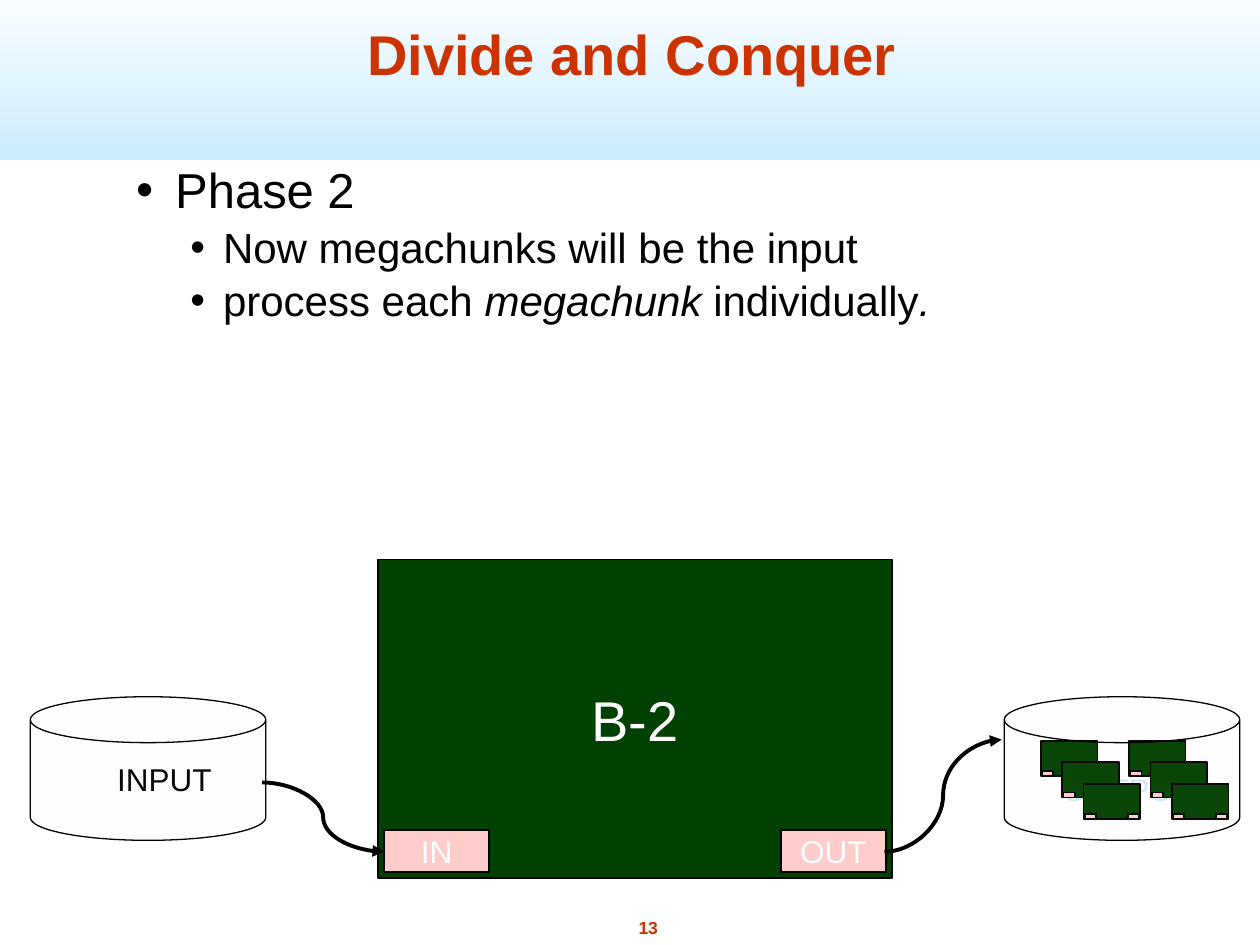
from pptx import Presentation
from pptx.dml.color import RGBColor
from pptx.enum.shapes import MSO_CONNECTOR, MSO_SHAPE
from pptx.enum.text import MSO_ANCHOR, PP_ALIGN
from pptx.oxml.ns import qn
from pptx.util import Inches, Pt
from lxml import etree

RED = RGBColor(0xCC, 0x33, 0x00)
SKY = RGBColor(0xCC, 0xEC, 0xFF)
GREEN = RGBColor(0x00, 0x41, 0x01)
PINK = RGBColor(0xFF, 0xCC, 0xCC)
BLACK = RGBColor(0, 0, 0)
WHITE = RGBColor(0xFF, 0xFF, 0xFF)

# level: (text size, left margin, hanging indent, space before)
LEVELS = {0: (28, 0.72, 0.31, 0), 1: (24, 1.1, 0.26, 1.5)}
BULLETS = [
    (0, [("Phase 2", False)]),
    (1, [("Now megachunks will be the input", False)]),
    (1, [("process each ", False), ("megachunk", True),
         (" individually", False), (".", True)]),
]


def add_run(paragraph, text, size, color, bold=False, italic=False):
    run = paragraph.add_run()
    run.text = text
    font = run.font
    font.name, font.size, font.bold, font.italic = "Arial", Pt(size), bold, italic
    font.color.rgb = color


def set_frame(frame, anchor, wrap):
    frame.margin_left = frame.margin_right = Inches(0.05)
    frame.margin_top = frame.margin_bottom = Inches(0.05)
    frame.vertical_anchor = anchor
    frame.word_wrap = wrap


def add_label(slide, box, text, size, color, align=PP_ALIGN.LEFT, bold=False):
    frame = slide.shapes.add_textbox(*map(Inches, box)).text_frame
    set_frame(frame, MSO_ANCHOR.TOP, False)
    frame.paragraphs[0].alignment = align
    add_run(frame.paragraphs[0], text, size, color, bold)


def add_filled(slide, kind, box, color, line_width=1):
    shape = slide.shapes.add_shape(kind, *map(Inches, box))
    shape.shadow.inherit = False
    shape.fill.solid()
    shape.fill.fore_color.rgb = color
    shape.line.color.rgb = BLACK
    shape.line.width = Pt(line_width)
    return shape


def add_block(slide, box, color, text=None, size=18):
    block = add_filled(slide, MSO_SHAPE.RECTANGLE, box, color)
    if text:
        set_frame(block.text_frame, MSO_ANCHOR.MIDDLE, False)
        paragraph = block.text_frame.paragraphs[0]
        paragraph.alignment = PP_ALIGN.CENTER
        add_run(paragraph, text, size, WHITE)


def add_header(slide, band_box, title_box):
    title = slide.shapes.title
    title.left, title.top, title.width, title.height = map(Inches, title_box)
    set_frame(title.text_frame, MSO_ANCHOR.BOTTOM, True)
    title.text_frame.paragraphs[0].alignment = PP_ALIGN.CENTER
    add_run(title.text_frame.paragraphs[0], "Divide and Conquer", 32, RED, bold=True)

    band = slide.shapes.add_shape(MSO_SHAPE.RECTANGLE, *map(Inches, band_box))
    band.shadow.inherit = False
    band.line.fill.background()
    band.fill.gradient()
    band.fill.gradient_angle = 90
    for stop, position, color in zip(band.fill.gradient_stops, (0, 1), (SKY, WHITE)):
        stop.position = position
        stop.color.rgb = color
    title.element.addprevious(band.element)


def add_bullets(slide, box):
    frame = slide.shapes.add_textbox(*map(Inches, box)).text_frame
    set_frame(frame, MSO_ANCHOR.TOP, True)
    for index, (level, runs) in enumerate(BULLETS):
        paragraph = frame.add_paragraph() if index else frame.paragraphs[0]
        size, margin, hanging, before = LEVELS[level]
        paragraph.level = level
        paragraph.space_before = Pt(before)
        properties = paragraph._p.get_or_add_pPr()
        properties.set("marL", str(Inches(margin)))
        properties.set("indent", str(-Inches(hanging)))
        etree.SubElement(properties, qn("a:buFont")).set("typeface", "Arial")
        etree.SubElement(properties, qn("a:buChar")).set("char", "•")
        for text, italic in runs:
            add_run(paragraph, text, size, BLACK, italic=italic)


def add_memory(slide, box):
    """Main block with its input and output buffers in the lower corners."""
    left, top, width, height = box
    port_width, port_height, gap = 0.83, 0.33, 0.05
    port_top = top + height - port_height - gap
    add_block(slide, box, GREEN, "B-2", 32)
    for text, port_left in (("IN", left + gap),
                            ("OUT", left + width - port_width - gap)):
        add_block(slide, (port_left, port_top, port_width, port_height), PINK, text)


def add_megachunks(slide, left, top):
    """Two cascades of three small blocks."""
    width, height, step = 0.45, 0.28, 0.17
    for column in range(2):
        for depth in range(3):
            x = left + 0.7 * column + step * depth
            y = top + step * depth
            add_block(slide, (x, y, width, height), GREEN)
            port_offsets = (0.01, 0.35) if depth == 2 else (0.01,)
            for offset in port_offsets:
                add_block(slide, (x + offset, y + 0.24, 0.09, 0.04), PINK)


def add_disk(slide, box):
    disk = add_filled(slide, MSO_SHAPE.CAN, box, PINK, 0.75)
    disk.adjustments[0] = 0.32
    color = disk.element.spPr.find(qn("a:solidFill")).find(qn("a:srgbClr"))
    etree.SubElement(color, qn("a:alpha")).set("val", "4000")


def add_arrow(slide, start, end):
    arrow = slide.shapes.add_connector(
        MSO_CONNECTOR.CURVE, *map(Inches, start + end))
    arrow.line.color.rgb = BLACK
    arrow.line.width = Pt(2.25)
    properties = arrow.element.spPr
    etree.SubElement(properties.find(qn("a:ln")), qn("a:tailEnd")).set("type", "triangle")
    etree.SubElement(properties, qn("a:effectLst"))


def add_data_flow(slide):
    """Input disk, memory and output disk, joined by arrows."""
    add_memory(slide, (3, 4.44, 4.08, 2.53))
    add_arrow(slide, (2.08, 6.21), (3.05, 6.76))
    add_arrow(slide, (7.02, 6.76), (7.95, 5.87))
    add_label(slide, (8.38, 6.06, 1.14, 0.41), "OUTPUT", 18, SKY)
    add_label(slide, (0.88, 5.98, 0.86, 0.41), "INPUT", 18, BLACK)
    add_megachunks(slide, 8.26, 5.88)
    for disk_left in (7.97, 0.24):
        add_disk(slide, (disk_left, 5.53, 1.87, 1.14))


def main():
    deck = Presentation()
    deck.slide_width, deck.slide_height = Inches(10), Inches(7.5)
    slide = deck.slides.add_slide(deck.slide_layouts[5])
    add_header(slide, (0, -0.17, 10, 1.44), (0.6, 0.07, 8.83, 0.67))
    add_label(slide, (5.01, 7.23, 0.27, 0.27), "13", 10, RED, PP_ALIGN.CENTER, True)
    add_bullets(slide, (0.62, 1.22, 8.58, 5.33))
    add_data_flow(slide)
    deck.save("out.pptx")


if __name__ == "__main__":
    main()
